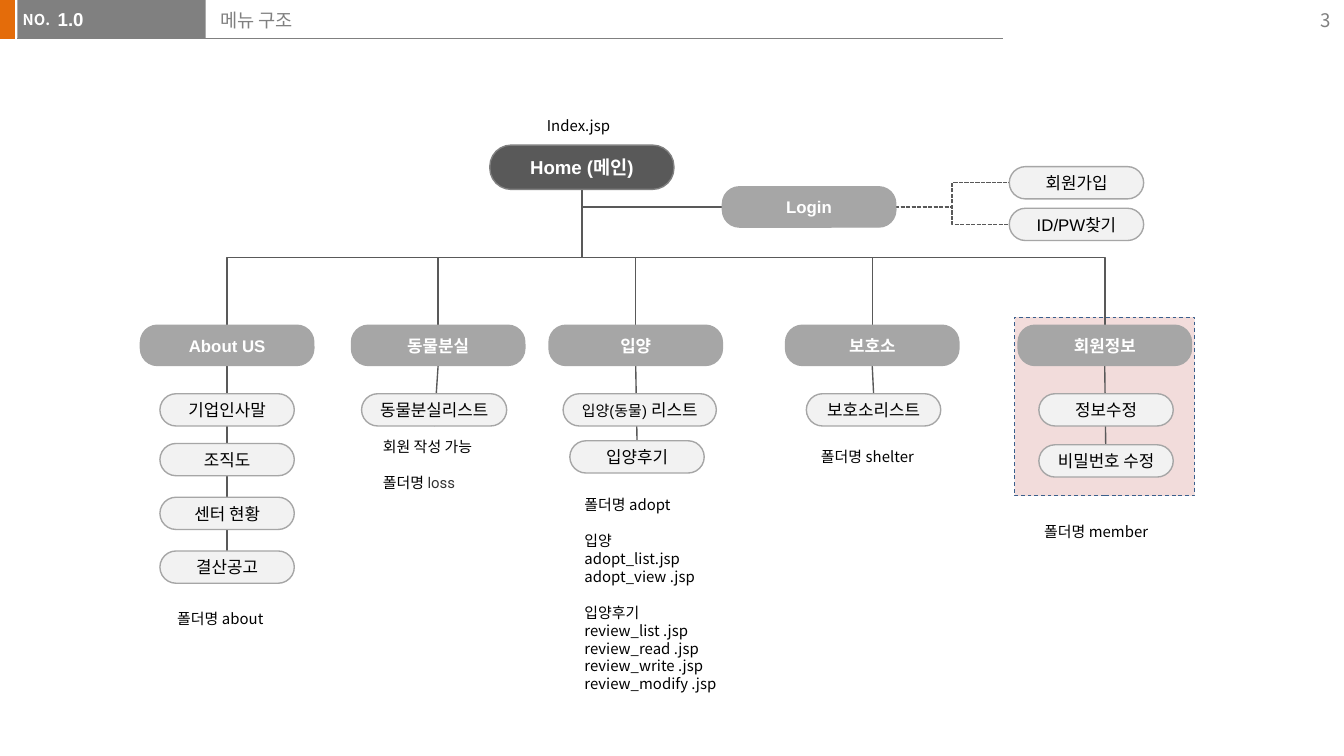
import pptx
import pptx.util
import pptx.dml.color
import pptx.enum.dml
import pptx.enum.shapes
import pptx.enum.text
import pptx.oxml
import pptx.oxml.ns

Inches = pptx.util.Inches
Pt = pptx.util.Pt
RGBColor = pptx.dml.color.RGBColor
SHAPE = pptx.enum.shapes.MSO_SHAPE
CONNECTOR = pptx.enum.shapes.MSO_CONNECTOR
DASH = pptx.enum.dml.MSO_LINE
ANCHOR = pptx.enum.text.MSO_ANCHOR
ALIGN = pptx.enum.text.PP_ALIGN

ORANGE = RGBColor(0xE4, 0x6C, 0x0A)
GRAY = RGBColor(0x80, 0x80, 0x80)
DARK = RGBColor(0x59, 0x59, 0x59)
MIDDLE = RGBColor(0xA6, 0xA6, 0xA6)
LIGHT = RGBColor(0xF2, 0xF2, 0xF2)
PINK = RGBColor(0xF2, 0xDC, 0xDB)
BLUE = RGBColor(0x3A, 0x5F, 0x8C)
WHITE = RGBColor(0xFF, 0xFF, 0xFF)
BLACK = RGBColor(0, 0, 0)
CHARCOAL = RGBColor(0x33, 0x33, 0x33)
KOREAN = "Noto Sans CJK KR"

# Widescreen slide, 16:9
presentation = pptx.Presentation()
presentation.slide_width = Inches(10)
presentation.slide_height = Inches(10) * 9 // 16
slide = presentation.slides.add_slide(presentation.slide_layouts[6])


def write_runs(paragraph, runs, color, align=ALIGN.LEFT):
    """Fill a paragraph from (text, format values) pairs."""
    paragraph.alignment = align
    for text, values in runs:
        run = paragraph.add_run()
        run.text = text
        run.font.color.rgb = values.get("color", color)
        for name in ("size", "name", "bold"):
            setattr(run.font, name, values.get(name))
        east_asian = pptx.oxml.parse_xml(
            f'<a:ea {pptx.oxml.ns.nsdecls("a")} typeface="{KOREAN}"/>')
        run.font._element.append(east_asian)


def add_line(x1, y1, x2, y2, color=DARK, width=0.75, dash=None,
             kind=CONNECTOR.STRAIGHT, vertical=False):
    """Draw a connector; a vertical elbow leaves its start downwards."""
    ends = (x1, y1, x2, y2)
    if vertical:
        # Lay the elbow on its side, then turn it about its centre
        center_x, center_y = (x1 + x2) / 2, (y1 + y2) / 2
        half_w, half_h = (y2 - y1) / 2, abs(x2 - x1) / 2
        if x2 > x1:
            half_w = -half_w
        ends = (center_x - half_w, center_y - half_h,
                center_x + half_w, center_y + half_h)
    line = slide.shapes.add_connector(kind, *map(Inches, ends))
    properties = line._element.spPr
    if vertical:
        properties.xfrm.set("rot", str((270 if x2 > x1 else 90) * 60000))
    line.line.color.rgb = color
    line.line.width = Pt(width)
    if dash:
        line.line.dash_style = dash
    properties.append(pptx.oxml.parse_xml(
        f'<a:effectLst {pptx.oxml.ns.nsdecls("a")}/>'))
    return line


# Header bars and the highlighted member panel
add_line(0.13, 0.29, 7.46, 0.29, GRAY, 0.5)
for left, top, width, height, fill, outline in (
        (-0.01, 0, 0.12, 0.29, ORANGE, None),
        (0.13, 0, 1.4, 0.29, GRAY, None),
        (7.55, 2.36, 1.34, 1.33, PINK, BLUE)):
    bar = slide.shapes.add_shape(
        SHAPE.RECTANGLE, *map(Inches, (left, top, width, height)))
    bar.shadow.inherit = False
    bar.fill.solid()
    bar.fill.fore_color.rgb = fill
    if outline:
        bar.line.color.rgb = outline
        bar.line.width = Pt(0.5)
        bar.line.dash_style = DASH.DASH
    else:
        bar.line.fill.background()

# Box styles
HOME = {"fill": DARK, "line": GRAY, "color": WHITE, "height": 0.33,
        "round": 0.48, "size": Pt(10), "bold": True}
MENU = {"fill": MIDDLE, "line": MIDDLE, "color": WHITE, "height": 0.3,
        "round": 0.42, "size": Pt(9), "bold": True}
PAGE = {"fill": LIGHT, "line": MIDDLE, "color": BLACK, "height": 0.24,
        "round": 0.5, "size": Pt(9), "bold": False}

# Menu columns: name, centre, page centre, page width, [(page, top)], line end
HOME_X, HOME_BOTTOM = 4.33, 1.41
MENU_TOP, MENU_BOTTOM = 2.42, 2.72
COLUMNS = (
    ("About US", 1.69, 1.69, 1, (("기업인사말", 2.93), ("조직도", 3.3),
                                 ("센터 현황", 3.7), ("결산공고", 4.1)), (1.69, 4.1)),
    ("동물분실", 3.26, 3.23, 1.08, (("동물분실리스트", 2.93),), (3.23, 3.17)),
    ("입양", 4.73, 4.74, 1, (("입양후기", 3.28),), (4.74, 3.28)),
    ("보호소", 6.49, 6.5, 1, (("보호소리스트", 2.93),), (6.5, 2.93)),
    ("회원정보", 8.22, 8.23, 1, (("정보수정", 2.93), ("비밀번호 수정", 3.31)), (8.23, 3.54)),
)

# Boxes: text ("|" parts the runs), centre, top, width, style
boxes = [
    ("Home (메인)", HOME_X, 1.08, 1.37, HOME),
    ("Login", 6.02, 1.39, 1.29, MENU),
    ("회원가입", 8.01, 1.24, 1, PAGE),
    ("ID/PW찾기", 8.01, 1.55, 1, PAGE),
    ("입양(동물) |리스트", 4.76, 2.93, 1.14, PAGE),
]

# Connectors: menu tree, then login branch
for name, menu_x, page_x, page_width, pages, line_end in COLUMNS:
    add_line(HOME_X, HOME_BOTTOM, menu_x, MENU_TOP,
             kind=CONNECTOR.ELBOW, vertical=True)
    add_line(menu_x, MENU_BOTTOM, *line_end)
    boxes.append((name, menu_x, MENU_TOP, 1.29, MENU))
    boxes += [(page, page_x, top, page_width, PAGE) for page, top in pages]
login_line = add_line(HOME_X, HOME_BOTTOM, 5.37, 1.54,
                      kind=CONNECTOR.ELBOW, vertical=True)
login_line._element.spPr.prstGeom.set("prst", "bentConnector2")
for page_y in (1.36, 1.67):
    add_line(6.66, 1.54, 7.51, page_y, dash=DASH.SQUARE_DOT,
             kind=CONNECTOR.ELBOW)

# Rounded boxes
for text, center, top, width, style in boxes:
    box = slide.shapes.add_shape(
        SHAPE.ROUNDED_RECTANGLE, Inches(center - width / 2), Inches(top),
        Inches(width), Inches(style["height"]))
    box.adjustments[0] = style["round"]
    box.shadow.inherit = False
    box.fill.solid()
    box.fill.fore_color.rgb = style["fill"]
    box.line.color.rgb = style["line"]
    box.line.width = Pt(0.75)
    frame = box.text_frame
    frame.word_wrap = True
    frame.vertical_anchor = ANCHOR.MIDDLE
    for side in ("left", "top", "right", "bottom"):
        setattr(frame, f"margin_{side}", Inches(0.02))
    values = {"size": style["size"], "name": "Arial", "bold": style["bold"]}
    runs = [(part, values) for part in text.split("|")]
    if len(runs) > 1:
        runs[0] = (runs[0][0], values | {"size": Pt(8)})
    write_runs(frame.paragraphs[0], runs, style["color"], ALIGN.CENTER)

# Header texts and folder notes; "" marks a gap before the next paragraph
NOTE = {"size": Pt(8), "name": KOREAN}
TITLE = {"size": Pt(10), "name": KOREAN, "color": GRAY}
NUMBER = {"size": Pt(10), "name": "Arial", "color": WHITE, "bold": True}
LABEL = {"size": Pt(8), "name": KOREAN, "color": WHITE, "bold": True}
LOSS = {"size": Pt(8), "name": "Roboto", "color": CHARCOAL}
texts = (
    (0.07, 0.03, 0.41, 0.24, LABEL, ALIGN.LEFT, ("NO.",)),
    (0.43, 0.01, 1.1, 0.31, NUMBER, ALIGN.LEFT, ("1.0",)),
    (1.54, 0.02, 5.91, 0.32, TITLE, ALIGN.LEFT, ("메뉴 구조",)),
    (9.4, 0, 0.6, 0.3, TITLE, ALIGN.RIGHT, ("3",)),
    (3.66, 0.82, 1.29, 0.24, NOTE, ALIGN.CENTER, ("Index.jsp",)),
    (2.75, 3.21, 1.29, 0.5, NOTE, ALIGN.LEFT,
     ("회원 작성 가능", "", "폴더명 |loss")),
    (4.25, 3.64, 1.29, 1.58, NOTE, ALIGN.LEFT,
     ("폴더명 adopt", "", "입양", "adopt_list.jsp", "adopt_view .jsp", "",
      "입양후기", "review_list .jsp", "review_read .jsp",
      "review_write .jsp", "review_modify .jsp")),
    (1.22, 4.49, 1.29, 0.24, NOTE, ALIGN.LEFT, ("폴더명 about",)),
    (6.01, 3.28, 1.29, 0.24, NOTE, ALIGN.LEFT, ("폴더명 shelter",)),
    (7.67, 3.84, 1.29, 0.24, NOTE, ALIGN.LEFT, ("폴더명 member",)),
)
for left, top, width, height, values, align, lines in texts:
    text_box = slide.shapes.add_textbox(
        *map(Inches, (left, top, width, height)))
    frame = text_box.text_frame
    frame.word_wrap = values is not LABEL
    if values is NUMBER:
        frame.margin_left = frame.margin_right = 0
    if align == ALIGN.RIGHT:
        frame.vertical_anchor = ANCHOR.MIDDLE
    paragraph, gap = frame.paragraphs[0], False
    for index, line in enumerate(lines):
        if not line:
            gap = True
            continue
        if index:
            paragraph = frame.add_paragraph()
        if gap:
            paragraph.space_before = Pt(9.65)
            gap = False
        runs = [(part, LOSS if part == "loss" else values)
                for part in line.split("|")]
        write_runs(paragraph, runs, BLACK, align)

presentation.save("out.pptx")
